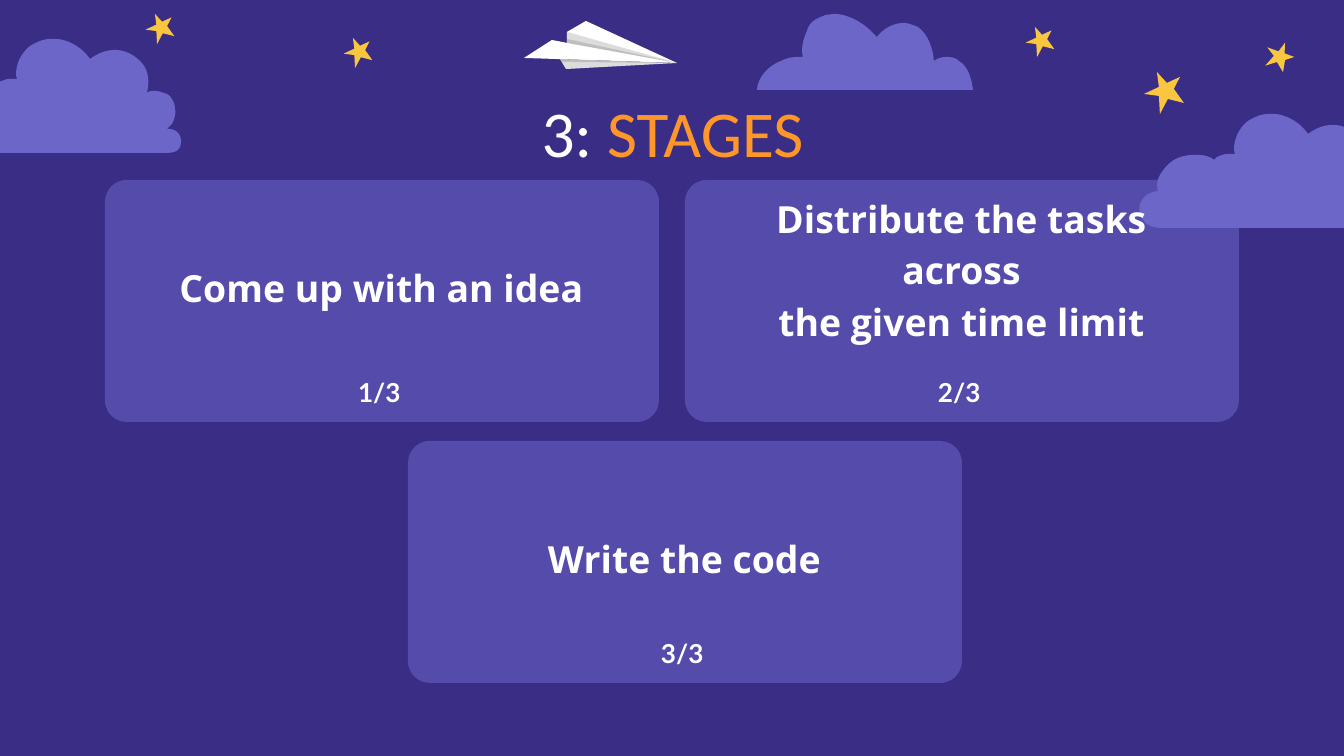
from dataclasses import dataclass

from lxml import etree
from pptx import Presentation
from pptx.dml.color import RGBColor
from pptx.enum.shapes import MSO_SHAPE
from pptx.enum.text import MSO_ANCHOR, MSO_AUTO_SIZE, PP_ALIGN
from pptx.oxml.ns import qn
from pptx.util import Pt

ROUND = MSO_SHAPE.ROUNDED_RECTANGLE
TOP, MIDDLE = MSO_ANCHOR.TOP, MSO_ANCHOR.MIDDLE
LEFT, CENTER = PP_ALIGN.LEFT, PP_ALIGN.CENTER
NO_FIT = MSO_AUTO_SIZE.NONE

SCALE = 914400 / 134.4
STEPS = 8
WHITE, ORANGE, GOLD = "FFFFFF", "FF9629", "FAC63F"
NIGHT, LILAC, SHADE = "392D86", "6C66C9", "191919"

# Outlines: pairs are corners, sixes are cubic curves (two handles, then the end).
PUFF = [
    (130, 0), (122, 0, 116, 3, 109, 7), (99, 15, 95, 26, 95, 36), (96, 40),
    (89, 40), (85, 40, 81, 42, 78, 43), (75, 46), (73, 44, 70, 43, 67, 42),
    (63, 41, 59, 41, 56, 41), (50, 41, 44, 42, 39, 44),
    (32, 47, 27, 52, 23, 58), (19, 63, 17, 70, 19, 77), (15, 78),
    (8, 79, 3, 85, 1, 90), (0, 95, 0, 101, 4, 106), (8, 112, 15, 114, 22, 114),
    (245, 114), (251, 114, 257, 113, 259, 108), (262, 101, 259, 91, 249, 90),
    (246, 90), (247, 89, 250, 86, 251, 85), (254, 79, 255, 74, 254, 70),
    (254, 65, 251, 58, 246, 55), (242, 54, 238, 52, 234, 52),
    (231, 52, 228, 52, 226, 54), (227, 48), (228, 39, 227, 30, 219, 22),
    (212, 15, 203, 11, 194, 11), (184, 11, 176, 15, 169, 20),
    (163, 11, 153, 4, 142, 1), (138, 0, 134, 0, 130, 0),
]
DOME = [
    (78, 0), (74, 0, 71, 1, 69, 1), (60, 4, 52, 8, 50, 17),
    (46, 26, 44, 35, 46, 43), (42, 43), (35, 43, 30, 44, 24, 47),
    (13, 51, 1, 62, 0, 76), (216, 76), (215, 65, 211, 52, 202, 47),
    (199, 44, 195, 43, 190, 43), (185, 43, 181, 44, 177, 47),
    (176, 34, 171, 20, 161, 13), (156, 11, 151, 9, 147, 9),
    (136, 9, 126, 15, 120, 23), (114, 17), (105, 8, 90, 0, 78, 0),
]
STAR = [(13, 0), (15, 15), (0, 22), (15, 24), (16, 42),
        (24, 27), (40, 31), (30, 17), (36, 5), (23, 11)]
WING = [(677, 63), (566, 69), (560, 59)]
BODY = [(677, 63), (524, 58), (552, 40), (567, 43), (567, 32), (586, 21)]
FOLD = [(677, 63), (567, 43), (567, 32)]
CREASE = [(677, 63), (567, 43), (567, 39)]
EDGE = [(677, 63), (562, 62), (560, 59)]


@dataclass
class Star:
    x: int
    y: int
    size: float = 0.72
    turn: int = 0


@dataclass
class Card:
    x: int
    y: int
    lines: list[str]
    drop: int
    tall: int
    mark: str


STARS = [Star(160, 29), Star(358, 53), Star(1040, 42),
         Star(1278, 57, turn=45), Star(1164, 93, size=1)]
CARDS = [
    Card(105, 180, ["Come up with an idea"], 65, 71, "1/3"),
    Card(408, 441, ["Write the code"], 75, 71, "3/3"),
    Card(685, 180, ["Distribute the tasks across", "the given time limit"],
         -4, 180, "2/3"),
]


def px(n: float) -> int:
    return round(n * SCALE)


def paint(part, tone: str, alpha: int = 100) -> None:
    """Give a solid fill, with alpha in percent."""
    part.fill.solid()
    part.fill.fore_color.rgb = RGBColor.from_string(tone)
    if alpha < 100:
        clr = part._element.spPr.find(qn("a:solidFill"))[0]
        etree.SubElement(clr, qn("a:alpha"), val=str(alpha * 1000))


def plain(part, tone: str, alpha: int = 100) -> None:
    paint(part, tone, alpha)
    part.line.fill.background()
    part.shadow.inherit = False


def flatten(outline: list) -> list:
    """Turn curves into short straight steps."""
    dots = [outline[0]]
    for seg in outline[1:]:
        if len(seg) == 2:
            dots.append(seg)
            continue
        ends = [dots[-1], seg[:2], seg[2:4], seg[4:]]
        for i in range(1, STEPS + 1):
            t = i / STEPS
            w = ((1 - t) ** 3, 3 * t * (1 - t) ** 2, 3 * t * t * (1 - t), t ** 3)
            dots.append(tuple(sum(k * p[a] for k, p in zip(w, ends))
                              for a in (0, 1)))
    return dots


def trace(slide, outline: list, tone: str, x: float = 0, y: float = 0,
          size: float = 1, alpha: int = 100):
    dots = [(px(x + a * size), px(y + b * size)) for a, b in flatten(outline)]
    pen = slide.shapes.build_freeform(*dots[0])
    pen.add_line_segments(dots[1:], close=True)
    part = pen.convert_to_shape()
    plain(part, tone, alpha)
    return part


def draw_star(slide, star: Star) -> None:
    part = trace(slide, STAR, GOLD, star.x - 20 * star.size,
                 star.y - 21 * star.size, star.size)
    part.rotation = star.turn


def set_frame(frame, anchor) -> None:
    frame.word_wrap = True
    frame.auto_size = NO_FIT
    frame.vertical_anchor = anchor
    frame.margin_left = frame.margin_right = px(13)
    frame.margin_top = frame.margin_bottom = px(13)


def set_font(para, name: str, size: int, bold: bool) -> None:
    font = para.font
    font.name, font.size, font.bold = name, Pt(size), bold
    font.color.rgb = RGBColor.from_string(WHITE)


def write(slide, box: tuple, lines: list[str], name: str, size: int,
          align, anchor) -> None:
    frame = slide.shapes.add_textbox(*map(px, box)).text_frame
    set_frame(frame, anchor)
    frame.text = "\n".join(lines)
    for para in frame.paragraphs:
        para.alignment, para.line_spacing = align, 1.15
        set_font(para, name, size, True)


def draw_card(slide, card: Card) -> None:
    panel = slide.shapes.add_shape(
        ROUND, px(card.x), px(card.y), px(554), px(242))
    panel.adjustments[0] = 0.09
    plain(panel, LILAC, 54)
    write(slide, (card.x + 22, card.y + card.drop, 509, card.tall),
          card.lines, "Open Sans", 20, CENTER, TOP)
    write(slide, (card.x + 240, card.y + 180, 74, 59),
          [card.mark], "Lato", 14, LEFT, MIDDLE)


def draw_title(slide) -> None:
    title = slide.shapes.title
    title.left, title.top = px(106), px(79)
    title.width, title.height = px(1133), px(85)
    set_frame(title.text_frame, TOP)
    para = title.text_frame.paragraphs[0]
    para.alignment = CENTER
    set_font(para, "Calibri", 35, False)
    para.add_run().text = "3: "
    word = para.add_run()
    word.text = "STAGES"
    word.font.color.rgb = RGBColor.from_string(ORANGE)


def main() -> None:
    deck = Presentation()
    deck.slide_width, deck.slide_height = px(1344), px(756)
    slide = deck.slides.add_slide(deck.slide_layouts[5])
    back = slide.background.fill
    back.solid()
    back.fore_color.rgb = RGBColor.from_string(NIGHT)

    for outline, x, y in ((PUFF, -79, 39), (DOME, 757, 14), (PUFF, 1139, 114)):
        trace(slide, outline, LILAC, x, y)
    for outline in (WING, BODY):
        trace(slide, outline, WHITE)
    for outline in (FOLD, CREASE, WING, EDGE):
        trace(slide, outline, SHADE, alpha=15)
    for star in STARS:
        draw_star(slide, star)
    draw_title(slide)
    for card in CARDS:
        draw_card(slide, card)
    deck.save("out.pptx")


if __name__ == "__main__":
    main()
